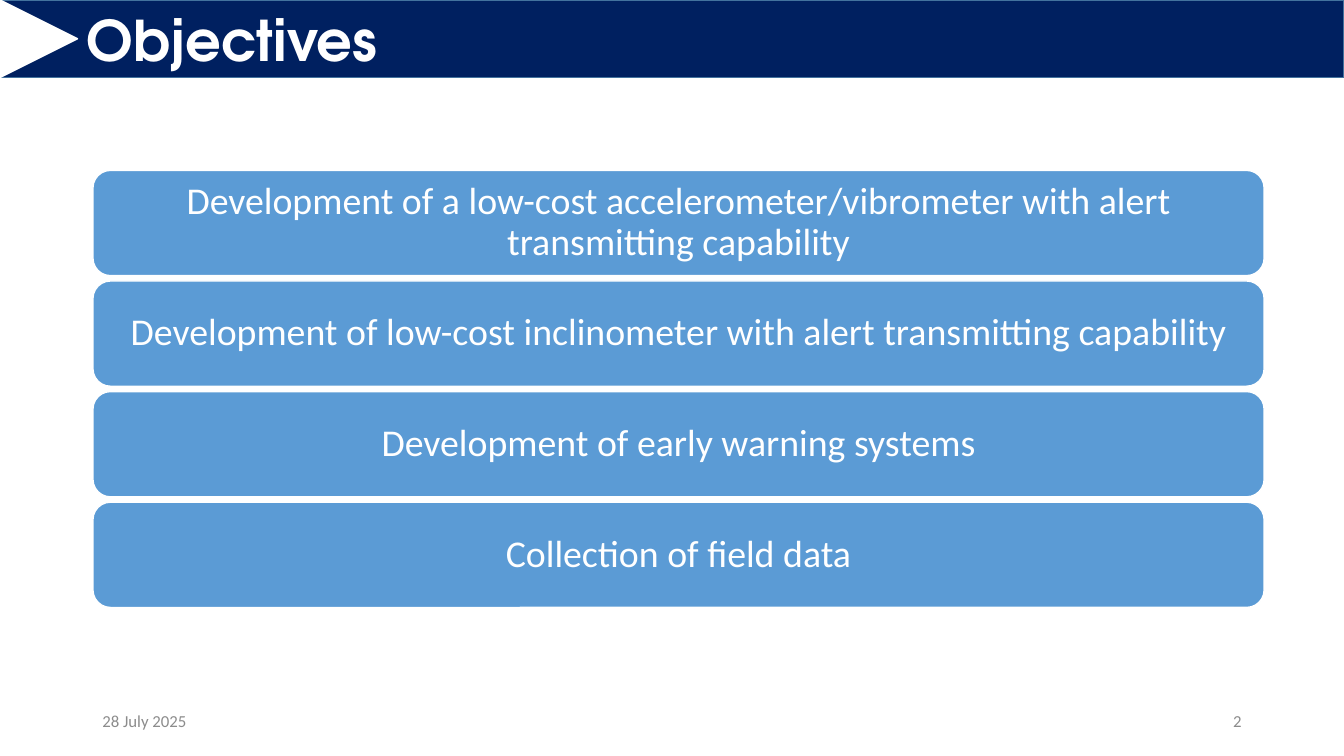
from pptx import Presentation
from pptx.dml.color import RGBColor
from pptx.enum.shapes import MSO_SHAPE
from pptx.enum.text import MSO_ANCHOR, MSO_AUTO_SIZE, PP_ALIGN
from pptx.util import Pt

TITLE = "Objectives"
OBJECTIVES = [
    "Development of a low-cost accelerometer/vibrometer with alert transmitting capability",
    "Development of low-cost inclinometer with alert transmitting capability",
    "Development of early warning systems",
    "Collection of field data",
]
DATE = "28 July 2025"
PAGE_NUMBER = "2"

NAVY = RGBColor(0x00, 0x20, 0x60)
BANNER_EDGE = RGBColor(0x43, 0x73, 0x9E)
BLUE = RGBColor(0x5B, 0x9B, 0xD5)
GREY = RGBColor(0x8C, 0x8C, 0x8C)
WHITE = RGBColor(0xFF, 0xFF, 0xFF)
LEFT, CENTER, RIGHT = PP_ALIGN.LEFT, PP_ALIGN.CENTER, PP_ALIGN.RIGHT
MIDDLE = MSO_ANCHOR.MIDDLE
FIXED_SIZE = MSO_AUTO_SIZE.NONE
TRIANGLE, ROUNDED = MSO_SHAPE.ISOSCELES_TRIANGLE, MSO_SHAPE.ROUNDED_RECTANGLE

SLIDE_W, SLIDE_H = 960, 540
BANNER_H = 55.4
CARD_X, CARD_Y, CARD_W, CARD_H, CARD_STEP = 66.4, 121.7, 836.6, 75.2, 79
FOOTER_Y, FOOTER_W, FOOTER_H = 500.5, 216, 28.75
DATE_X, NUMBER_X = 66, 678


def write(shape, text, size=12, font="Calibri", color=WHITE, bold=False,
          align=LEFT, spacing=1.0, inset=(7.2, 3.6, 7.2, 3.6)):
    frame = shape.text_frame
    frame.word_wrap = True
    frame.auto_size = FIXED_SIZE
    frame.vertical_anchor = MIDDLE
    (frame.margin_left, frame.margin_top,
     frame.margin_right, frame.margin_bottom) = [Pt(side) for side in inset]
    paragraph = frame.paragraphs[0]
    paragraph.alignment = align
    paragraph.line_spacing = spacing
    run = paragraph.add_run()
    run.text = text
    run.font.size = Pt(size)
    run.font.name = font
    run.font.bold = bold
    run.font.color.rgb = color


def paint(shape, fill, edge):
    shape.fill.solid()
    shape.fill.fore_color.rgb = fill
    shape.line.color.rgb = edge
    shape.line.width = Pt(1)


def add_painted(slide, preset, x, y, w, h, fill):
    shape = slide.shapes.add_shape(preset, Pt(x), Pt(y), Pt(w), Pt(h))
    shape.shadow.inherit = False
    paint(shape, fill, WHITE)
    return shape


def main():
    deck = Presentation()
    deck.slide_width, deck.slide_height = Pt(SLIDE_W), Pt(SLIDE_H)
    slide = deck.slides.add_slide(deck.slide_layouts[5])

    banner = slide.shapes.title
    banner.left, banner.top = Pt(0), Pt(0)
    banner.width, banner.height = Pt(SLIDE_W), Pt(BANNER_H)
    paint(banner, NAVY, BANNER_EDGE)
    write(banner, TITLE, size=40, font="TeX Gyre Adventor", bold=True,
          inset=(62, 3.6, 7.2, 3.6))

    notch = add_painted(slide, TRIANGLE, 0, 0, BANNER_H, BANNER_H, WHITE)
    notch.rotation = 90

    for row, objective in enumerate(OBJECTIVES):
        card = add_painted(slide, ROUNDED, CARD_X, CARD_Y + row * CARD_STEP,
                           CARD_W, CARD_H, BLUE)
        write(card, objective, size=27, align=CENTER, spacing=0.9,
              inset=(8, 4, 8, 4))

    for text, x, align in ((DATE, DATE_X, LEFT), (PAGE_NUMBER, NUMBER_X, RIGHT)):
        footer = slide.shapes.add_textbox(Pt(x), Pt(FOOTER_Y),
                                          Pt(FOOTER_W), Pt(FOOTER_H))
        write(footer, text, color=GREY, align=align)

    deck.save("out.pptx")


if __name__ == "__main__":
    main()
